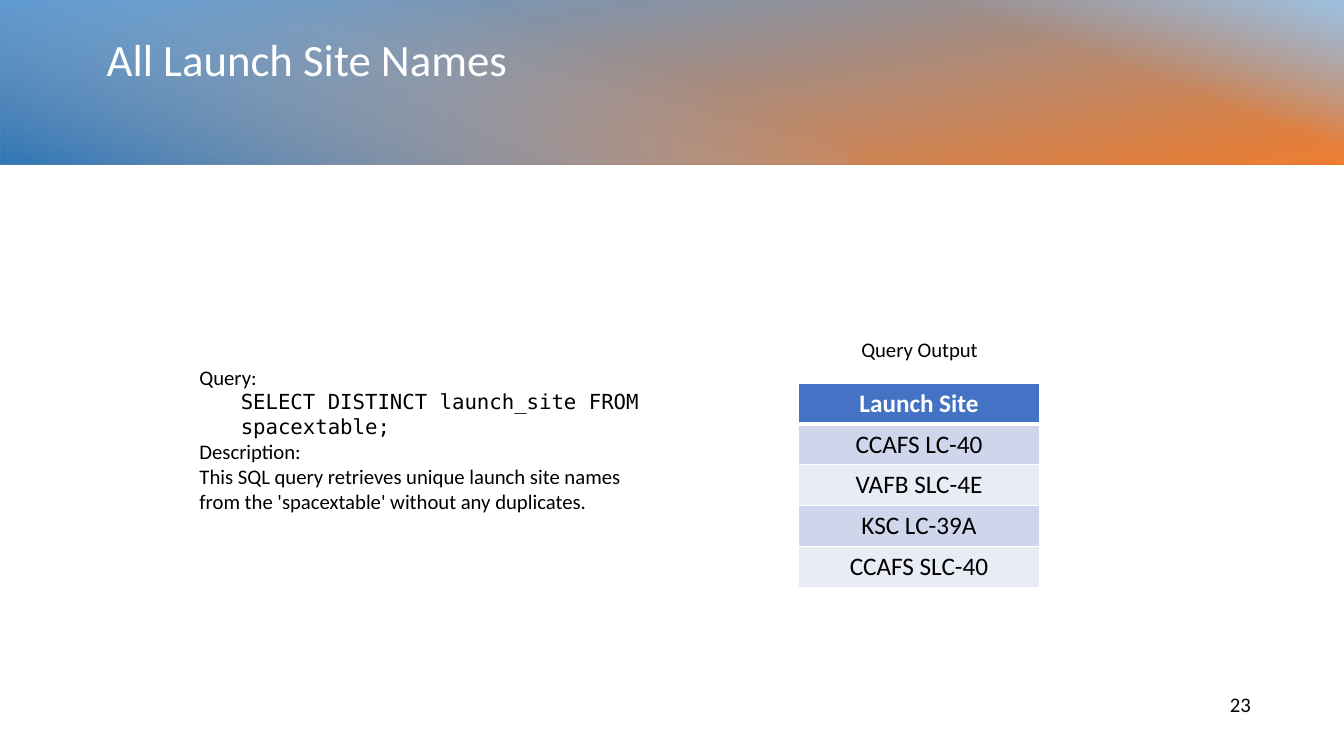
from dataclasses import dataclass
from typing import Any, NamedTuple

from lxml.etree import SubElement
from pptx import Presentation
from pptx.dml.color import RGBColor
from pptx.enum.shapes import MSO_SHAPE
from pptx.enum.text import MSO_ANCHOR, PP_ALIGN
from pptx.oxml.ns import qn
from pptx.util import Inches, Pt


@dataclass(frozen=True)
class Theme:
    font: str = "Calibri"
    mono: str = "DejaVu Sans Mono"
    white: str = "FFFFFF"
    black: str = "000000"
    head: str = "4472C4"
    bands: tuple[str, str] = ("CFD5EA", "E9EBF5")
    title: float = 32
    body: float = 14.8
    cell: float = 18


THEME = Theme()


class Box(NamedTuple):
    left: float
    top: float
    width: float
    height: float

    def emu(self) -> list[int]:
        return [Inches(side) for side in self]


class Stop(NamedTuple):
    pos: int
    color: str
    alpha: int = 100


class Glow(NamedTuple):
    box: Box
    turn: int
    angle: int
    stops: tuple[Stop, ...]


class Line(NamedTuple):
    text: str
    font: str = THEME.font
    indent: float = 0


class Note(NamedTuple):
    box: Box
    lines: tuple[Line, ...]
    size: float = THEME.body
    color: str = THEME.black
    align: Any = PP_ALIGN.LEFT
    anchor: Any = MSO_ANCHOR.MIDDLE
    space: float = 1


GLOWS = (
    Glow(Box(5.84, -5.87, 1.66, 13.34), 270, 170,
         (Stop(0, "5B9BD5"), Stop(100, "ED7D31"))),
    Glow(Box(9.75, -1.97, 1.65, 5.54), 270, 20,
         (Stop(59, "9DC3E6", 0), Stop(100, "9DC3E6"))),
    Glow(Box(3.39, -3.42, 1.66, 8.44), 90, 20,
         (Stop(29, "9DC3E6", 0), Stop(100, "2E75B6"))),
)

NOTES = (
    Note(Box(0.96, 0.33, 11.46, 1.1), (Line("All Launch Site Names"),),
         THEME.title, THEME.white, anchor=MSO_ANCHOR.TOP, space=0.9),
    Note(Box(1.88, 2.39, 4.68, 3.93), (
        Line("Query:"),
        Line("SELECT DISTINCT launch_site FROM spacextable;", THEME.mono, 0.41),
        Line("Description:"),
        Line("This SQL query retrieves unique launch site names "
             "from the 'spacextable' without any duplicates."),
    )),
    Note(Box(6.78, 3.28, 4.68, 0.36), (Line("Query Output"),),
         align=PP_ALIGN.CENTER),
    Note(Box(12.1, 6.81, 1.2, 0.36), (Line("23"),), anchor=MSO_ANCHOR.TOP),
)

SITES = ("Launch Site", "CCAFS LC-40", "VAFB SLC-4E", "KSC LC-39A", "CCAFS SLC-40")
GRID = Box(7.92, 3.8, 2.39, 2.03)


def apply(target: Any, values: dict[str, Any]) -> None:
    for name, value in values.items():
        setattr(target, name, value)


def style(font: Any, size: float, color: str, name: str = THEME.font,
          bold: bool = False) -> None:
    apply(font, {"size": Pt(size), "name": name, "bold": bold})
    font.color.rgb = RGBColor.from_string(color)


def tint(parent: Any, color: str) -> Any:
    return SubElement(parent, qn("a:srgbClr"), val=color)


def draw_glow(slide: Any, glow: Glow) -> None:
    """Draw a turned rectangle whose gradient stops may be transparent."""
    shape = slide.shapes.add_shape(MSO_SHAPE.RECTANGLE, *glow.box.emu())
    shape.rotation = glow.turn
    shape.shadow.inherit = False
    shape.line.fill.background()
    shape.fill.gradient()
    grad = shape.fill._xPr.find(qn("a:gradFill"))
    grad.set("rotWithShape", "1")
    for child in list(grad):
        grad.remove(child)
    stops = SubElement(grad, qn("a:gsLst"))
    for stop in glow.stops:
        mark = SubElement(stops, qn("a:gs"), pos=str(stop.pos * 1000))
        color = tint(mark, stop.color)
        if stop.alpha < 100:
            SubElement(color, qn("a:alpha"), val=str(stop.alpha * 1000))
    SubElement(grad, qn("a:lin"), ang=str(glow.angle * 60000), scaled="0")


def draw_note(slide: Any, note: Note) -> None:
    frame = slide.shapes.add_textbox(*note.box.emu()).text_frame
    apply(frame, {"word_wrap": True, "vertical_anchor": note.anchor})
    for row, line in enumerate(note.lines):
        para = frame.add_paragraph() if row else frame.paragraphs[0]
        apply(para, {"alignment": note.align, "line_spacing": note.space})
        if line.indent:
            props = para._p.get_or_add_pPr()
            props.set("marL", str(Inches(line.indent)))
            props.set("indent", "0")
        run = para.add_run()
        run.text = line.text
        style(run.font, note.size, note.color, line.font)


def edge(cell: Any, widths: dict[str, int]) -> None:
    """Put white borders, keyed by side letter, ahead of the cell's fill."""
    props = cell._tc.get_or_add_tcPr()
    for spot, (side, width) in enumerate(widths.items()):
        line = SubElement(props, qn(f"a:ln{side}"), w=str(Pt(width)))
        tint(SubElement(line, qn("a:solidFill")), THEME.white)
        props.insert(spot, line)


def draw_table(slide: Any) -> None:
    table = slide.shapes.add_table(len(SITES), 1, *GRID.emu()).table
    for row, site in enumerate(SITES):
        head = row == 0
        cell = table.cell(row, 0)
        apply(cell, {"text": site, "vertical_anchor": MSO_ANCHOR.MIDDLE})
        para = cell.text_frame.paragraphs[0]
        para.alignment = PP_ALIGN.CENTER
        style(para.runs[0].font, THEME.cell,
              THEME.white if head else THEME.black, bold=head)
        cell.fill.solid()
        color = THEME.head if head else THEME.bands[(row - 1) % 2]
        cell.fill.fore_color.rgb = RGBColor.from_string(color)
        edge(cell, {"L": 1, "R": 1, "T": 3 if row == 1 else 1, "B": 3 if head else 1})


def main() -> None:
    deck = Presentation()
    apply(deck, {"slide_width": Inches(13.33), "slide_height": Inches(7.5)})
    slide = deck.slides.add_slide(deck.slide_layouts[6])
    for glow in GLOWS:
        draw_glow(slide, glow)
    for note in NOTES:
        draw_note(slide, note)
    draw_table(slide)
    deck.save("out.pptx")


if __name__ == "__main__":
    main()
